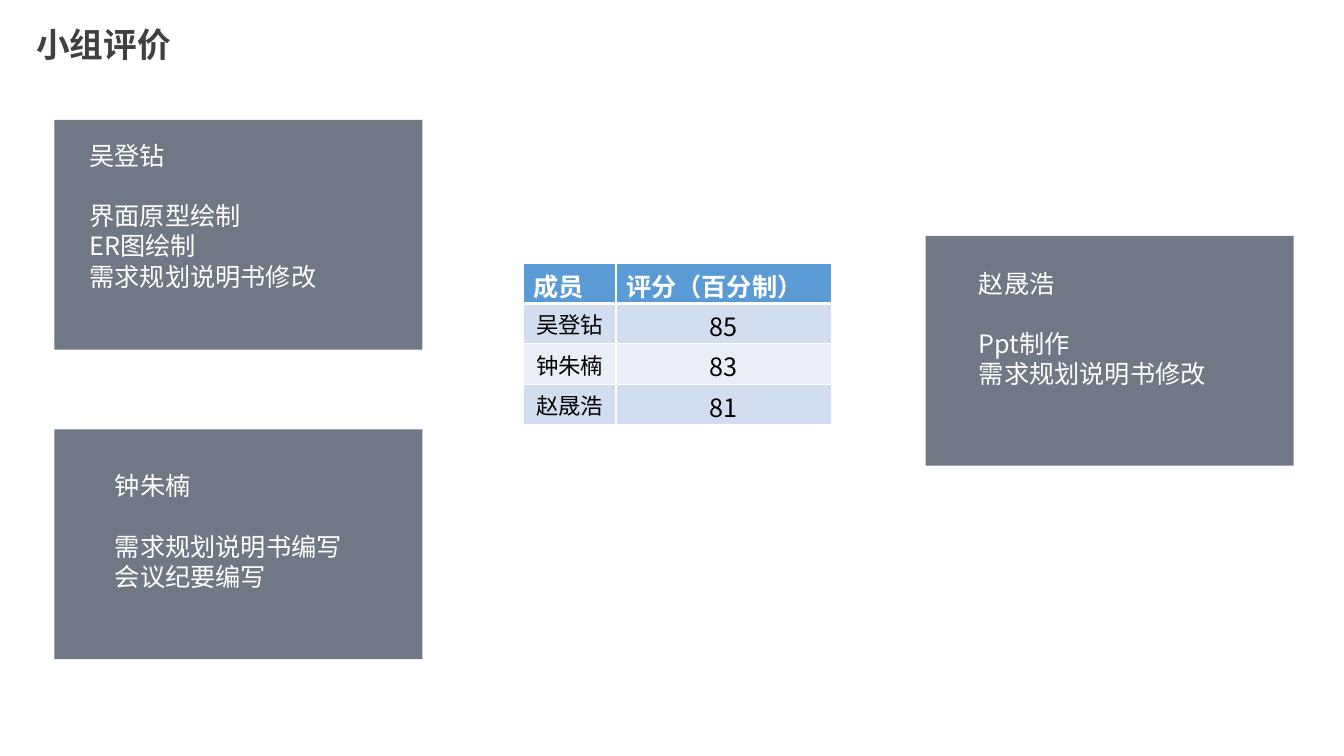
from dataclasses import dataclass

from lxml import etree
from pptx import Presentation
from pptx.dml.color import RGBColor
from pptx.enum.shapes import MSO_SHAPE
from pptx.enum.text import MSO_ANCHOR, MSO_AUTO_SIZE, PP_ALIGN
from pptx.oxml.ns import qn
from pptx.util import Inches, Pt

RECTANGLE = MSO_SHAPE.RECTANGLE
TOP = MSO_ANCHOR.TOP
NO_AUTOFIT = MSO_AUTO_SIZE.NONE
LEFT, CENTER = PP_ALIGN.LEFT, PP_ALIGN.CENTER
TITLE_ONLY = 5


@dataclass(frozen=True)
class Theme:
    font: str = "Noto Sans CJK SC"
    title: str = "404040"
    panel: str = "333F50"
    panel_opacity: int = 70
    white: str = "FFFFFF"
    black: str = "000000"
    header: str = "5B9BD5"
    bands: tuple = ("D2DEEF", "EAEFF7")
    title_size: int = 24
    body_size: int = 18
    name_size: int = 16
    line_factor: float = 1.2


THEME = Theme()

MEMBERS = [
    ("吴登钻", 85, ["界面原型绘制", "ER图绘制", "需求规划说明书修改"],
     (0.54, 1.19), (0.79, 1.34, 2.8, 1.92)),
    ("钟朱楠", 83, ["需求规划说明书编写", "会议纪要编写"],
     (0.54, 4.26), (1.04, 4.62, 2.61, 1.31)),
    ("赵晟浩", 81, ["Ppt制作", "需求规划说明书修改"],
     (9.18, 2.34), (9.61, 2.61, 2.71, 1.31)),
]


def format_paragraph(paragraph, size, color, bold=False, alignment=LEFT):
    paragraph.alignment = alignment
    paragraph.line_spacing = Pt(size * THEME.line_factor)
    paragraph.space_before = Pt(0)
    for run in paragraph.runs:
        run.font.name = THEME.font
        run.font.size = Pt(size)
        run.font.bold = bold
        run.font.color.rgb = RGBColor.from_string(color)
        east_asian = etree.SubElement(run.font._element, qn("a:ea"))
        east_asian.set("typeface", THEME.font)


def set_title(slide, text):
    title = slide.shapes.title
    title.left, title.top = Inches(0.26), Inches(0.19)
    title.width, title.height = Inches(1.55), Inches(0.5)
    frame = title.text_frame
    frame.text = text
    frame.word_wrap = False
    frame.auto_size = NO_AUTOFIT
    frame.vertical_anchor = TOP
    format_paragraph(frame.paragraphs[0], THEME.title_size, THEME.title, bold=True)


def add_panel(slide, left, top):
    panel = slide.shapes.add_shape(
        RECTANGLE, Inches(left), Inches(top), Inches(3.65), Inches(2.28))
    panel.shadow.inherit = False
    panel.line.fill.background()
    panel.fill.solid()
    panel.fill.fore_color.rgb = RGBColor.from_string(THEME.panel)
    color = panel._element.spPr.find(".//" + qn("a:srgbClr"))
    etree.SubElement(color, qn("a:alpha")).set("val", str(THEME.panel_opacity * 1000))


def add_duties(slide, name, duties, bounds):
    box = slide.shapes.add_textbox(*map(Inches, bounds))
    frame = box.text_frame
    frame.word_wrap = True
    frame.text = "\n".join([name, *duties])
    for paragraph in frame.paragraphs:
        format_paragraph(paragraph, THEME.body_size, THEME.white)
    frame.paragraphs[0].space_after = Pt(THEME.body_size * THEME.line_factor)


def set_borders(cell, bottom):
    properties = cell._tc.get_or_add_tcPr()
    widths = {"a:lnL": 1, "a:lnR": 1, "a:lnT": 1, "a:lnB": bottom}
    for index, (side, width) in enumerate(widths.items()):
        line = etree.Element(qn(side), w=str(Pt(width)))
        fill = etree.SubElement(line, qn("a:solidFill"))
        etree.SubElement(fill, qn("a:srgbClr")).set("val", THEME.white)
        properties.insert(index, line)


def fill_cell(cell, text, fill, size, color, bold, alignment, bottom):
    cell.text = text
    cell.margin_top, cell.margin_bottom = Inches(0.1), Inches(0)
    cell.fill.solid()
    cell.fill.fore_color.rgb = RGBColor.from_string(fill)
    format_paragraph(cell.text_frame.paragraphs[0], size, color, bold, alignment)
    set_borders(cell, bottom)


def add_score_table(slide):
    rows = [("成员", "评分（百分制）")]
    rows += [(name, str(score)) for name, score, *_ in MEMBERS]
    table = slide.shapes.add_table(
        len(rows), 2, Inches(5.19), Inches(2.61), Inches(3.06), Inches(1.6)).table
    for column, width in zip(table.columns, (0.92, 2.14)):
        column.width = Inches(width)
    for row_index, row in enumerate(rows):
        table.rows[row_index].height = Inches(0.4)
        for column_index, text in enumerate(row):
            cell = table.cell(row_index, column_index)
            if row_index == 0:
                fill_cell(cell, text, THEME.header, THEME.body_size,
                          THEME.white, True, LEFT, 3)
            else:
                size = THEME.body_size if column_index else THEME.name_size
                fill_cell(cell, text, THEME.bands[(row_index - 1) % 2], size,
                          THEME.black, False, CENTER, 1)


def main():
    presentation = Presentation()
    presentation.slide_width = Inches(13.33)
    presentation.slide_height = Inches(7.5)
    slide = presentation.slides.add_slide(presentation.slide_layouts[TITLE_ONLY])
    set_title(slide, "小组评价")
    add_score_table(slide)
    for name, _, duties, corner, text_bounds in MEMBERS:
        add_panel(slide, *corner)
        add_duties(slide, name, duties, text_bounds)
    presentation.save("out.pptx")


if __name__ == "__main__":
    main()
